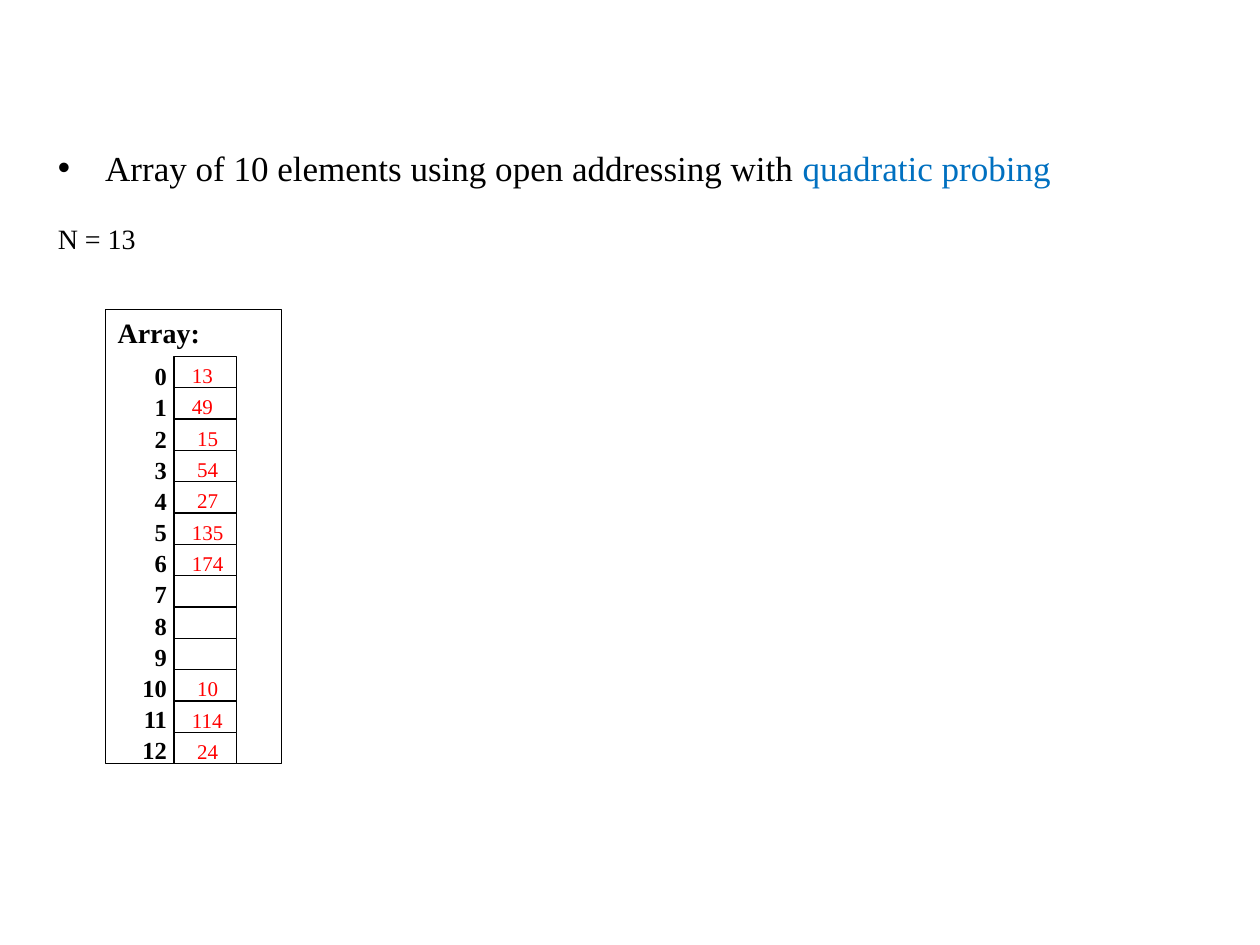
from lxml.etree import SubElement
from pptx import Presentation
from pptx.dml.color import RGBColor
from pptx.enum.shapes import MSO_SHAPE
from pptx.enum.text import MSO_ANCHOR, PP_ALIGN
from pptx.oxml.ns import qn
from pptx.util import Pt

FONT = "Times New Roman"
BLACK, WHITE, RED, BLUE = "000000", "FFFFFF", "FF0000", "0070C0"

# Row index: (value, shift to the right)
VALUES = {0: ("13", 0), 1: ("49", 0), 2: ("15", 3), 3: ("54", 3),
          4: ("27", 3), 5: ("135", 0), 6: ("174", 0),
          10: ("10", 3), 11: ("114", 0), 12: ("24", 3)}
ROWS = 13
PITCH = 17.9


def color(code):
    return RGBColor.from_string(code)


def add_run(para, text, size, code=BLACK, bold=False):
    run = para.add_run()
    run.text = text
    font = run.font
    font.name, font.size, font.bold = FONT, Pt(size), bold
    font.color.rgb = color(code)


def add_text(shapes, left, top, width, height):
    box = shapes.add_textbox(Pt(left), Pt(top), Pt(width), Pt(height))
    box.text_frame.word_wrap = True
    return box.text_frame


def add_rect(shapes, left, top, width, height):
    rect = shapes.add_shape(MSO_SHAPE.RECTANGLE, Pt(left), Pt(top),
                            Pt(width), Pt(height))
    rect.shadow.inherit = False
    rect.fill.solid()
    rect.fill.fore_color.rgb = color(WHITE)
    rect.line.color.rgb = color(BLACK)
    rect.line.width = Pt(0.75)
    return rect


def add_bullet(para, indent):
    props = para._p.get_or_add_pPr()
    props.set("marL", str(Pt(indent)))
    props.set("indent", str(-Pt(indent)))
    SubElement(props, qn("a:buFont"), typeface="Arial")
    SubElement(props, qn("a:buChar"), char="\u2022")


def add_intro(shapes, left, top, width, height):
    frame = add_text(shapes, left, top, width, height)
    para = frame.paragraphs[0]
    add_bullet(para, 27)
    add_run(para, "Array of 10 elements using open addressing with ", 20)
    add_run(para, "quadratic probing", 20, BLUE)
    para = frame.add_paragraph()
    para.space_before = Pt(19)
    add_run(para, "N = 13", 16)


def add_array(shapes, left, top, width, height):
    # Frame with its heading
    frame = add_rect(shapes, left, top, width, height).text_frame
    frame.vertical_anchor = MSO_ANCHOR.TOP
    para = frame.paragraphs[0]
    para.alignment = PP_ALIGN.LEFT
    add_run(para, "Array:", 16, bold=True)

    # Cells and row numbers
    first = top + 26.7
    group = shapes.add_group_shape().shapes
    for row in range(ROWS):
        add_rect(group, left + 39.2, first + row * PITCH, 35.8, 18)
    frame = add_text(group, left + 9.3, first - 0.8, 33, 240)
    for row in range(ROWS):
        para = frame.add_paragraph() if row else frame.paragraphs[0]
        para.alignment = PP_ALIGN.RIGHT
        para.space_after = Pt(1)
        add_run(para, str(row), 14, bold=True)

    # Stored values
    for row, (value, shift) in VALUES.items():
        frame = add_text(shapes, left + 42.4 + shift, first + row * PITCH,
                         360 if row else 132, 21.6)
        add_run(frame.paragraphs[0], value, 12, RED)


deck = Presentation()
deck.slide_width, deck.slide_height = Pt(720), Pt(540)
slide = deck.slides.add_slide(deck.slide_layouts[6])
add_intro(slide.shapes, 26, 80, 585.5, 128)
add_array(slide.shapes, 60.2, 177, 100.8, 259.2)
deck.save("out.pptx")
